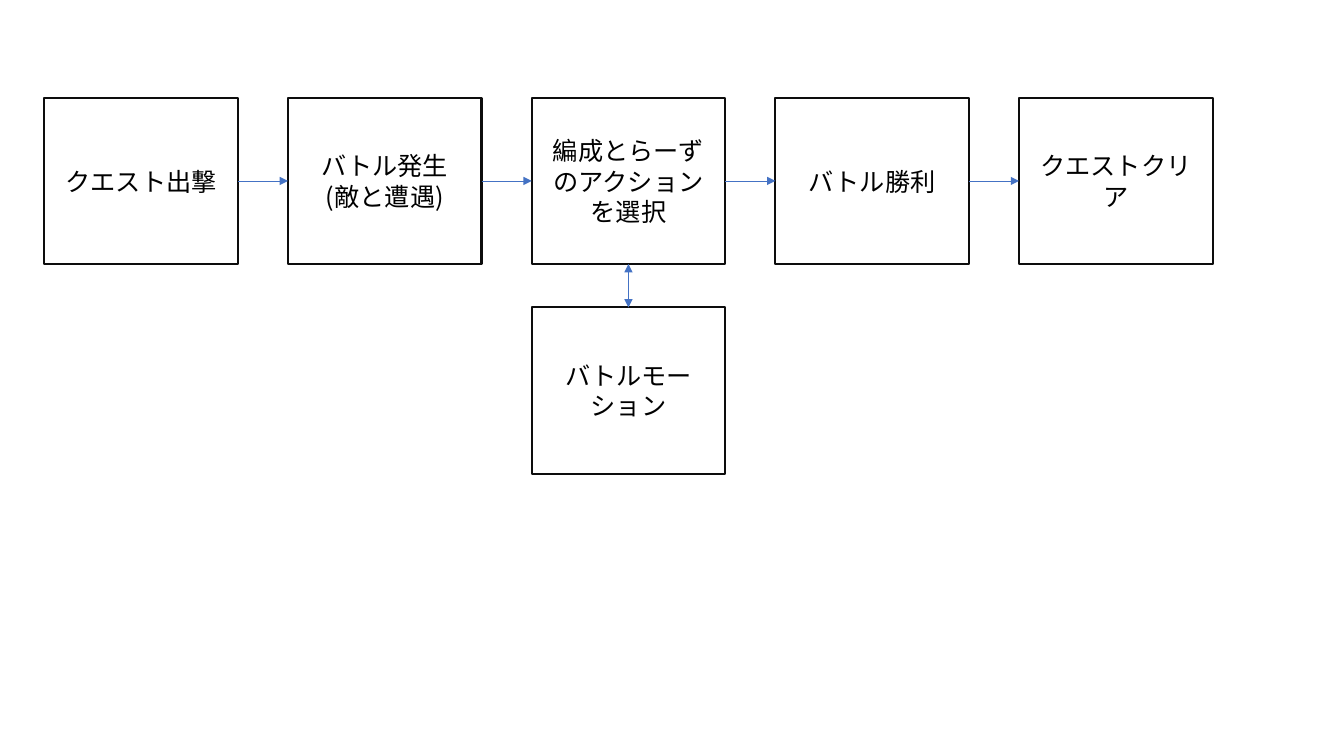
"""Build a battle flow slide: five steps in a row and one motion step below."""
import lxml.etree
import pptx
import pptx.dml.color
import pptx.enum.shapes
import pptx.enum.text
import pptx.oxml.ns
import pptx.util

STEPS = {
    "sortie": ("クエスト出撃", 0, 0),
    "encounter": ("バトル発生\v(敵と遭遇)", 1, 0),
    "action": ("編成とらーずのアクションを選択", 2, 0),
    "motion": ("バトルモーション", 2, 1),
    "victory": ("バトル勝利", 3, 0),
    "clear": ("クエストクリア", 4, 0),
}
TOP, LEFT, BOTTOM, RIGHT = range(4)
ARROWS = [
    ("sortie", RIGHT, "encounter", LEFT, ["tailEnd"]),
    ("encounter", RIGHT, "action", LEFT, ["tailEnd"]),
    ("action", BOTTOM, "motion", TOP, ["headEnd", "tailEnd"]),
    ("action", RIGHT, "victory", LEFT, ["tailEnd"]),
    ("victory", RIGHT, "clear", LEFT, ["tailEnd"]),
]
SLIDE_SIZE = (13.333, 7.5)
ORIGIN = (0.44, 0.97)
PITCH = (2.4175, 2.08)
BOX_SIZE = (1.92, 1.65)
FONT = "Noto Sans CJK JP"
TEXT_FORMAT = {"name": FONT, "size": pptx.util.Pt(18)}
FRAME_FORMAT = {
    "word_wrap": True,
    "vertical_anchor": pptx.enum.text.MSO_ANCHOR.MIDDLE,
}


def color(hex_string):
    """Return the colour of a hex string."""
    return pptx.dml.color.RGBColor.from_string(hex_string)


def apply_format(target, values):
    """Set every attribute in a dict of format values."""
    for name, value in values.items():
        setattr(target, name, value)


def add_child(parent, tag, **attributes):
    """Append a drawing element with the given attributes."""
    lxml.etree.SubElement(parent, pptx.oxml.ns.qn(f"a:{tag}"), **attributes)


def format_line(line, hex_string, points):
    """Set the colour and width of a line."""
    line.color.rgb = color(hex_string)
    line.width = pptx.util.Pt(points)


def add_step(slide, text, column, row):
    """Add one outlined step box at a grid position."""
    position = [
        start + index * step
        for start, index, step in zip(ORIGIN, (column, row), PITCH)
    ]
    shape = slide.shapes.add_shape(
        pptx.enum.shapes.MSO_SHAPE.RECTANGLE,
        *map(pptx.util.Inches, (*position, *BOX_SIZE)),
    )
    shape.shadow.inherit = False
    shape.fill.background()
    format_line(shape.line, "0D0D0D", 1.5)
    apply_format(shape.text_frame, FRAME_FORMAT)
    paragraph = shape.text_frame.paragraphs[0]
    paragraph.text = text
    paragraph.alignment = pptx.enum.text.PP_ALIGN.CENTER
    for run in paragraph.runs:
        apply_format(run.font, TEXT_FORMAT)
        run.font.color.rgb = color("000000")
        add_child(run._r.get_or_add_rPr(), "ea", typeface=FONT)
    return shape


def add_arrow(slide, start, start_side, end, end_side, heads):
    """Join two step boxes with an arrow."""
    connector = slide.shapes.add_connector(
        pptx.enum.shapes.MSO_CONNECTOR.STRAIGHT, 0, 0, 0, 0
    )
    connector.begin_connect(start, start_side)
    connector.end_connect(end, end_side)
    format_line(connector.line, "4472C4", 0.5)
    for head in heads:
        add_child(connector.line._get_or_add_ln(), head, type="triangle")
    add_child(connector._element.spPr, "effectLst")


def main():
    """Build and save the slide."""
    presentation = pptx.Presentation()
    presentation.slide_width, presentation.slide_height = map(
        pptx.util.Inches, SLIDE_SIZE
    )
    slide = presentation.slides.add_slide(presentation.slide_layouts[6])
    boxes = {name: add_step(slide, *step) for name, step in STEPS.items()}
    for start, start_side, end, end_side, heads in ARROWS:
        add_arrow(slide, boxes[start], start_side, boxes[end], end_side, heads)
    presentation.save("out.pptx")


if __name__ == "__main__":
    main()
